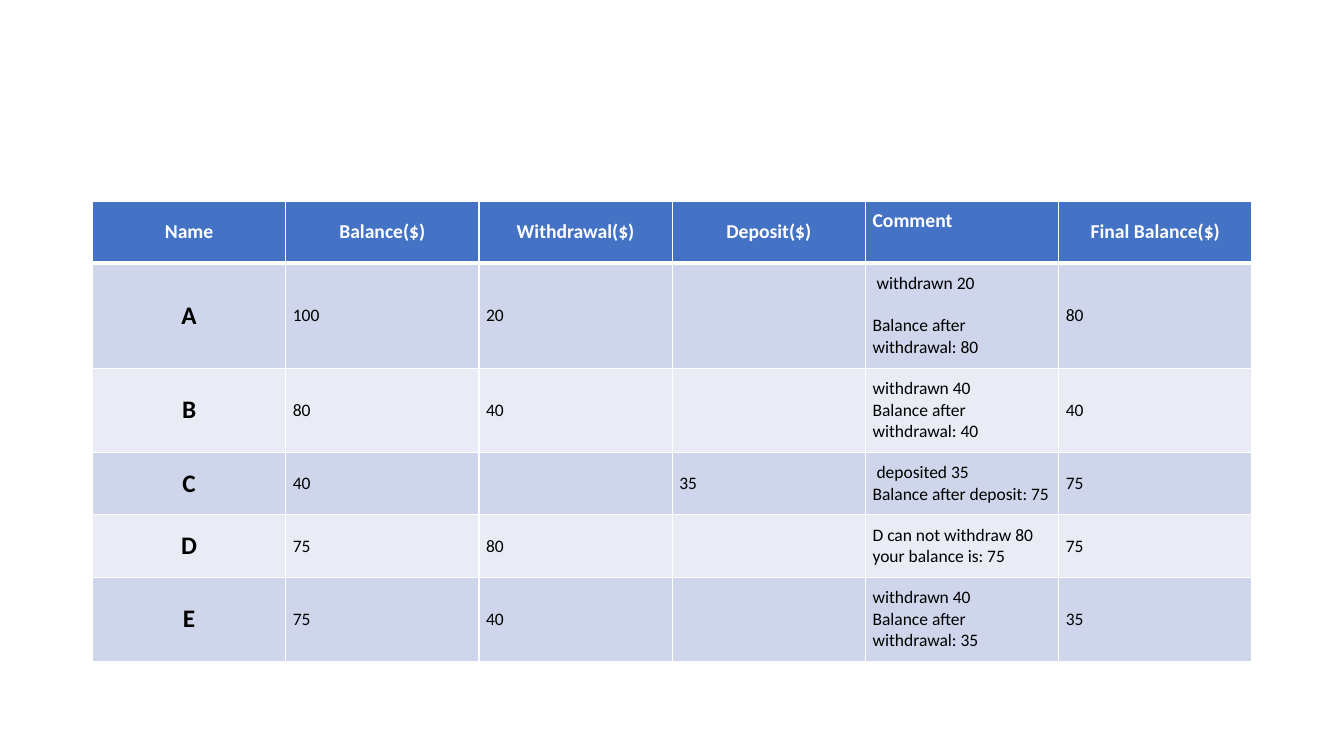
from dataclasses import dataclass

from lxml import etree
from pptx import Presentation
from pptx.dml.color import RGBColor
from pptx.enum.text import MSO_ANCHOR, PP_ALIGN
from pptx.oxml.ns import qn
from pptx.util import Cm, Pt

LEFT, CENTER = PP_ALIGN.LEFT, PP_ALIGN.CENTER
TOP, MIDDLE = MSO_ANCHOR.TOP, MSO_ANCHOR.MIDDLE


@dataclass(frozen=True)
class Theme:
    font: str = "Calibri"
    header_fill: str = "4472C4"
    bands: tuple = ("CFD5EA", "E9EBF5")
    white: str = "FFFFFF"
    black: str = "000000"
    header_size: float = 14
    name_size: float = 18
    body_size: float = 12.5
    thin: float = 1
    thick: float = 3


HEADERS = ["Name", "Balance($)", "Withdrawal($)", "Deposit($)", "Comment", "Final Balance($)"]
ACCOUNTS = [
    ["A", "100", "20", "", " withdrawn 20\nBalance after withdrawal: 80", "80"],
    ["B", "80", "40", "", "withdrawn 40\nBalance after withdrawal: 40", "40"],
    ["C", "40", "", "35", " deposited 35\nBalance after deposit: 75", "75"],
    ["D", "75", "80", "", "D can not withdraw 80\nyour balance is: 75", "75"],
    ["E", "75", "40", "", "withdrawn 40\nBalance after withdrawal: 35", "35"],
]
ROW_HEIGHTS = [1.54, 2.66, 2.1, 1.57, 1.57, 2.1]
COLUMN_WIDTH = 4.87
COMMENT = HEADERS.index("Comment")


class SlideBuilder:
    def __init__(self, page, theme):
        self.page = page
        self.theme = theme

    def table(self, left, top, column_width, row_heights, column_count):
        frame = self.page.shapes.add_table(
            len(row_heights), column_count, Cm(left), Cm(top),
            Cm(column_width * column_count), Cm(sum(row_heights)))
        table = frame.table
        for column in table.columns:
            column.width = Cm(column_width)
        for row, height in zip(table.rows, row_heights):
            row.height = Cm(height)
        return table

    def cell(self, cell, fill, margins, anchor=MIDDLE, top_line=1, bottom_line=1):
        cell.fill.solid()
        cell.fill.fore_color.rgb = RGBColor.from_string(fill)
        cell.margin_left = cell.margin_right = Cm(margins[0])
        cell.margin_top = cell.margin_bottom = Cm(margins[1])
        cell.vertical_anchor = anchor
        self.borders(cell, top_line, bottom_line)

    def borders(self, cell, top_line, bottom_line):
        thin = self.theme.thin
        properties = cell._tc.get_or_add_tcPr()
        widths = {"a:lnL": thin, "a:lnR": thin, "a:lnT": top_line, "a:lnB": bottom_line}
        for index, (tag, width) in enumerate(widths.items()):
            line = etree.Element(qn(tag), w=str(Pt(width)))
            fill = etree.SubElement(line, qn("a:solidFill"))
            etree.SubElement(fill, qn("a:srgbClr"), val=self.theme.white)
            properties.insert(index, line)

    def text(self, cell, text, size, color, bold=False, align=LEFT, gap=0):
        frame = cell.text_frame
        lines = text.split("\n")
        for index, line in enumerate(lines):
            para = frame.add_paragraph() if index else frame.paragraphs[0]
            para.alignment = align
            if index < len(lines) - 1:
                para.space_after = Pt(gap)
            if line:
                span = para.add_run()
                span.text = line
                span.font.name = self.theme.font
                span.font.size = Pt(size)
                span.font.bold = bold
                span.font.color.rgb = RGBColor.from_string(color)


def main():
    deck = Presentation()
    deck.slide_width, deck.slide_height = Cm(33.87), Cm(19.05)
    theme = Theme()
    builder = SlideBuilder(deck.slides.add_slide(deck.slide_layouts[6]), theme)
    table = builder.table(2.33, 5.08, COLUMN_WIDTH, ROW_HEIGHTS, len(HEADERS))

    for column, title in enumerate(HEADERS):
        cell = table.cell(0, column)
        is_comment = column == COMMENT
        builder.cell(cell, theme.header_fill, (0.18, 0.18),
                     anchor=TOP if is_comment else MIDDLE, bottom_line=theme.thick)
        builder.text(cell, title, theme.header_size, theme.white, bold=True,
                     align=LEFT if is_comment else CENTER)

    for row, account in enumerate(ACCOUNTS, start=1):
        for column, value in enumerate(account):
            cell = table.cell(row, column)
            is_name = column == 0
            builder.cell(cell, theme.bands[(row - 1) % 2],
                         (0.1, 0.13) if is_name else (0.18, 0.25),
                         top_line=theme.thick if row == 1 else theme.thin)
            builder.text(cell, value, theme.name_size if is_name else theme.body_size,
                         theme.black, bold=is_name, align=CENTER if is_name else LEFT,
                         gap=15 if row == 1 else 0)

    deck.save("out.pptx")


if __name__ == "__main__":
    main()
